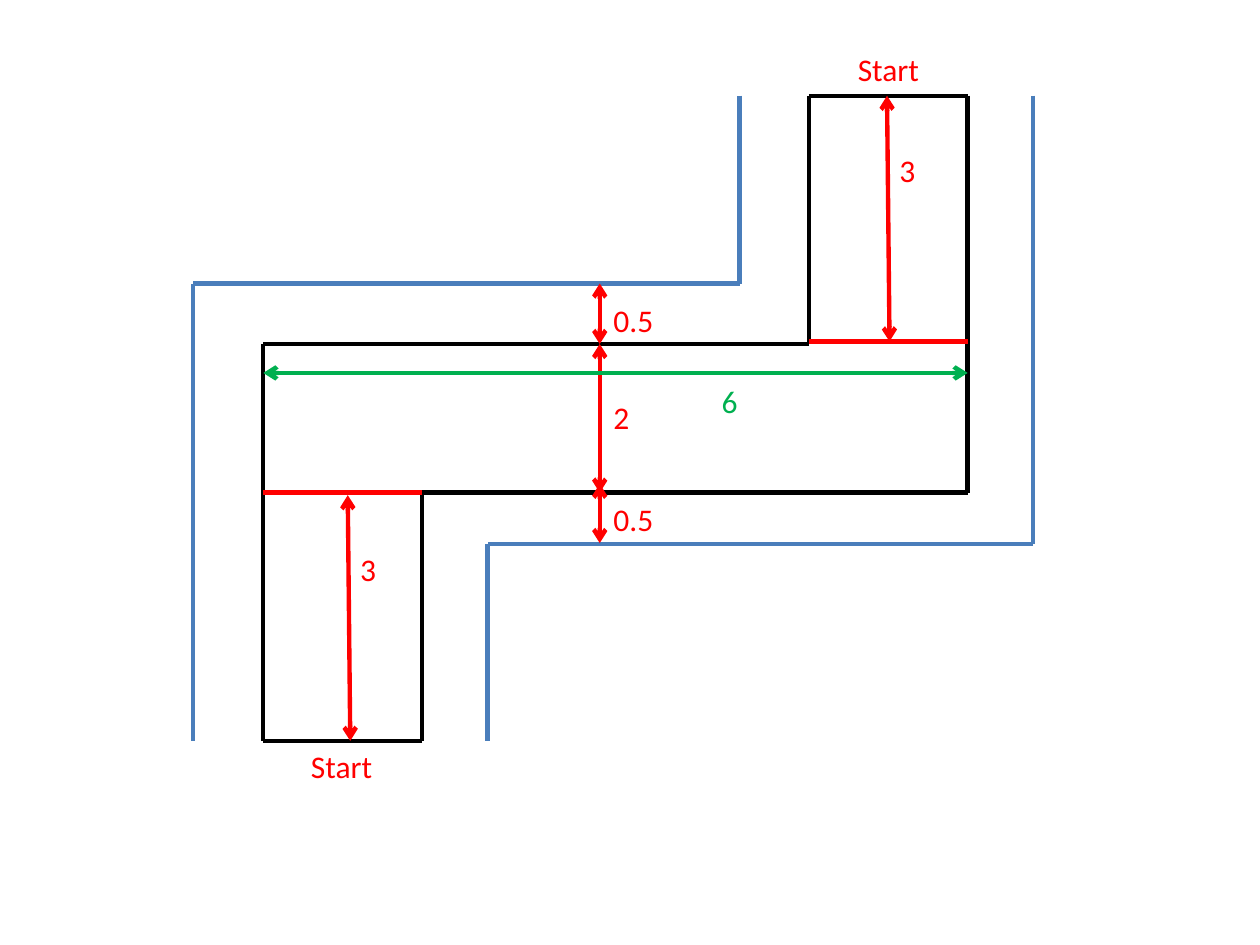
import pptx
import pptx.util
import pptx.dml.color
import pptx.enum.shapes
import pptx.enum.text
import pptx.oxml.ns
from itertools import pairwise
from lxml import etree

Inches = pptx.util.Inches
RGBColor = pptx.dml.color.RGBColor
BLACK = RGBColor(0x00, 0x00, 0x00)
RED = RGBColor(0xFF, 0x00, 0x00)
BLUE = RGBColor(0x4A, 0x7E, 0xBB)
GREEN = RGBColor(0x00, 0xB0, 0x50)


def line(slide, box, start, end, color, arrows=False):
    left, top = box[:2]
    link = slide.shapes.add_connector(
        pptx.enum.shapes.MSO_CONNECTOR.STRAIGHT,
        Inches(left + start[0]), Inches(top + start[1]),
        Inches(left + end[0]), Inches(top + end[1]))
    link.line.color.rgb = color
    link.line.width = pptx.util.Pt(2.5)
    qn = pptx.oxml.ns.qn
    if arrows:
        stroke = link.line._get_or_add_ln()
        for tag in ("a:headEnd", "a:tailEnd"):
            etree.SubElement(stroke, qn(tag), type="arrow")
    etree.SubElement(link._element.spPr, qn("a:effectLst"))


def chain(slide, box, points, color):
    for start, end in pairwise(points):
        line(slide, box, start, end, color)


def label(slide, box, words, spot, width, color):
    left, top = box[:2]
    note = slide.shapes.add_textbox(
        Inches(left + spot[0]), Inches(top + spot[1]),
        Inches(width), Inches(0.4))
    frame = note.text_frame
    frame.word_wrap = False
    frame.auto_size = pptx.enum.text.MSO_AUTO_SIZE.SHAPE_TO_FIT_TEXT
    run = frame.paragraphs[0].add_run()
    run.text = words
    run.font.name = "Calibri"
    run.font.size = pptx.util.Pt(18)
    run.font.color.rgb = color


def draw_track(slide, box):
    wide, high = box[2:]
    lane, upper, lower = 1.26, 1.97, 3.15
    inner = wide - lane
    chain(slide, box, [
        (0, high), (0, upper), (inner, upper), (inner, 0), (wide, 0),
        (wide, lower), (lane, lower), (lane, high), (0, high)], BLACK)
    line(slide, box, (lane, lower), (0, lower), RED)
    line(slide, box, (wide, upper - 0.02), (inner, upper - 0.02), RED)


def draw_walls(slide, box):
    wide, high = box[2:]
    upper, lower = 1.49, 3.56
    chain(slide, box,
          [(4.34, 0), (4.34, upper), (0, upper), (0, high)], BLUE)
    chain(slide, box,
          [(wide, 0), (wide, lower), (2.34, lower), (2.34, high)], BLUE)


def draw_sizes(slide, box):
    wide, high = box[2:]
    for left, top in ((0.28, high), (4.62, -0.41)):
        label(slide, box, "Start", (left, top), 0.7, RED)

    middle = 2.67
    for words, top, end, spot, width in (
            ("2", 1.97, 3.15, 2.35, 0.33),
            ("0.5", 1.49, 1.97, 1.58, 0.54),
            ("0.5", 3.08, 3.55, 3.16, 0.54)):
        line(slide, box, (middle, top), (middle, end), RED, True)
        label(slide, box, words, (middle + 0.01, spot), width, RED)

    line(slide, box, (0, 2.2), (wide, 2.2), GREEN, True)
    label(slide, box, "6", (3.54, 2.22), 0.33, GREEN)

    for left, top in ((0.67, 3.17), (4.95, 0)):
        line(slide, box, (left, top), (left + 0.02, top + 1.95), RED, True)
        label(slide, box, "3", (left, top + 0.39), 0.33, RED)


def main():
    deck = pptx.Presentation()
    deck.slide_width = Inches(10)
    deck.slide_height = Inches(7.5)
    slide = deck.slides.add_slide(deck.slide_layouts[6])
    track = (2.09, 0.76, 5.59, 5.12)
    draw_track(slide, track)
    draw_walls(slide, (1.53, 0.76, 6.67, 5.12))
    draw_sizes(slide, track)
    deck.save("out.pptx")


if __name__ == "__main__":
    main()
